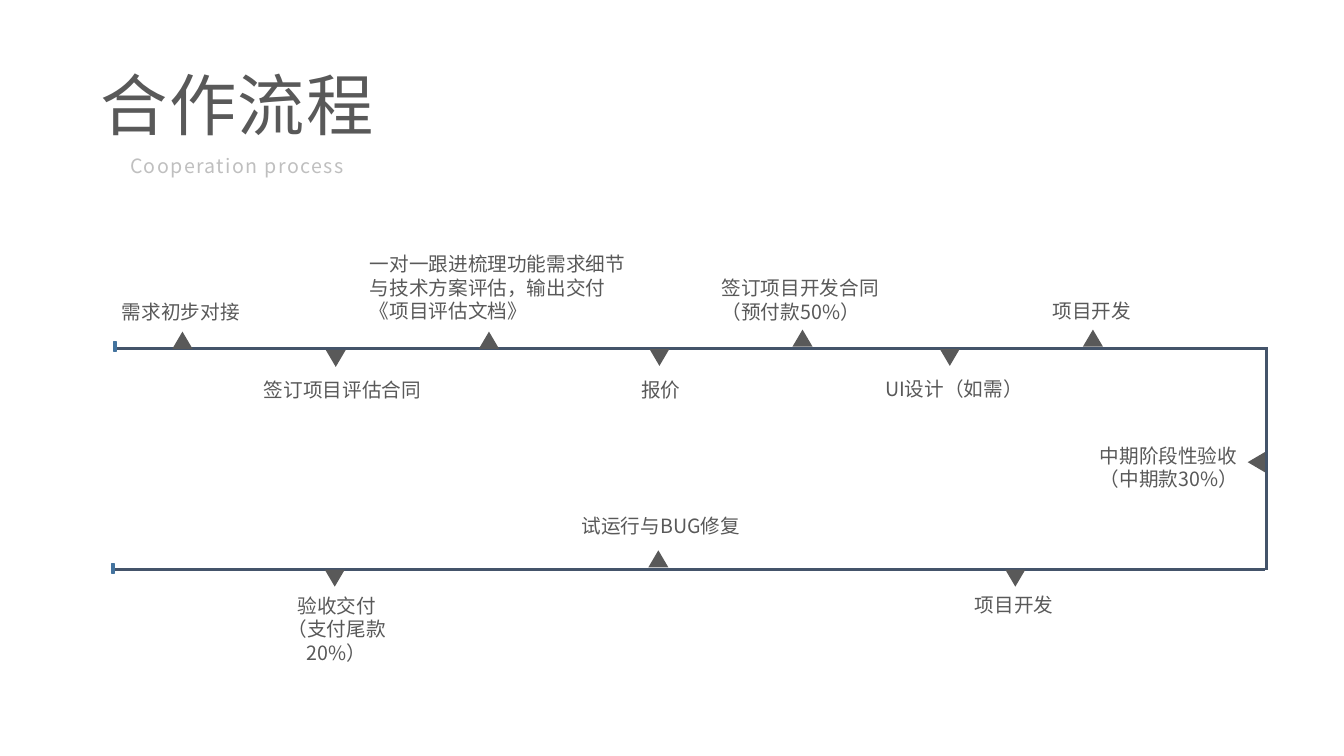
from typing import NamedTuple

from lxml.etree import SubElement
from pptx import Presentation
from pptx.dml.color import RGBColor
from pptx.enum.shapes import MSO_CONNECTOR as Connector, MSO_SHAPE as Shape
from pptx.enum.text import MSO_ANCHOR as Anchor, MSO_AUTO_SIZE as AutoSize, PP_ALIGN as Align
from pptx.oxml.ns import qn
from pptx.util import Inches, Pt

FONT = "Noto Sans CJK SC"
COLORS = {"text": "595959", "subtitle": "BFBFBF", "path": "44546A", "cap": "43739E"}
MARKER_WIDTH, MARKER_HEIGHT = 0.2, 0.17
CAP_WIDTH, CAP_HEIGHT = 0.02, 0.1
LABEL_SIZE = 14
UP, DOWN, LEFT = 0, 180, 270


class Box(NamedTuple):
    left: float
    top: float
    width: float
    height: float


class Step(NamedTuple):
    text: str
    box: Box
    marker_left: float
    marker_top: float
    direction: int
    align: Align | None = None


class Segment(NamedTuple):
    start_x: float
    start_y: float
    end_x: float
    end_y: float


SEGMENTS = [
    Segment(1.16, 3.46, 12.56, 3.46),
    Segment(12.56, 5.65, 12.56, 3.44),
    Segment(1.14, 5.65, 12.55, 5.65),
]
CAPS = [(1.13, 3.39), (1.11, 5.59)]

STEPS = [
    # Upper row, left to right
    Step("需求初步对接", Box(1.11, 2.93, 1.38, 0.57), 1.71, 3.29, UP),
    Step("签订项目评估合同", Box(2.52, 3.7, 1.83, 0.57), 3.23, 3.47, DOWN),
    Step("一对一跟进梳理功能需求细节与技术方案评估，输出交付《项目评估文档》",
         Box(3.57, 2.45, 2.77, 1.04), 4.75, 3.29, UP),
    Step("报价", Box(6.26, 3.7, 0.62, 0.57), 6.44, 3.46, DOWN),
    Step("签订项目开发合同（预付款50%）", Box(7.06, 2.69, 1.94, 0.81), 7.86, 3.27, UP),
    Step("UI设计（如需）", Box(8.68, 3.69, 1.83, 0.57), 9.32, 3.46, DOWN),
    Step("项目开发", Box(10.34, 2.92, 1.09, 0.57), 10.74, 3.27, UP),
    # Turn on the right
    Step("中期阶段性验收（中期款30%）", Box(10.81, 4.35, 1.63, 0.81), 12.36, 4.5, LEFT),
    # Lower row, right to left
    Step("项目开发", Box(9.57, 5.83, 1.09, 0.57), 9.97, 5.65, DOWN),
    Step("试运行与BUG修复", Box(5.67, 5.05, 1.83, 0.57), 6.43, 5.46, UP),
    Step("验收交付\n（支付尾款20%）", Box(2.52, 5.84, 1.64, 0.81), 3.22, 5.65, DOWN,
         Align.CENTER),
]


def color(name: str) -> RGBColor:
    return RGBColor.from_string(COLORS[name])


def add_text(slide, text: str, box: Box, *, size: float = LABEL_SIZE, color_name: str = "text",
             align: Align | None = None, anchor: Anchor = Anchor.TOP, wrap: bool = True,
             line_spacing: float | None = None, letter_spacing: float = 0) -> None:
    shape = slide.shapes.add_textbox(*map(Inches, box))
    frame = shape.text_frame
    frame.text = text
    frame.word_wrap = wrap
    frame.auto_size = AutoSize.SHAPE_TO_FIT_TEXT
    frame.vertical_anchor = anchor
    for paragraph in frame.paragraphs:
        paragraph.alignment = align
        if line_spacing:
            paragraph.line_spacing = Pt(line_spacing)
        for run in paragraph.runs:
            run.font.size = Pt(size)
            run.font.name = FONT
            run.font.color.rgb = color(color_name)
            properties = run.font._element
            SubElement(properties, qn("a:ea")).set("typeface", FONT)
            if letter_spacing:
                properties.set("spc", str(round(letter_spacing * 100)))


def add_filled_shape(slide, kind: Shape, box: Box, rotation: float = 0,
                     line_name: str | None = None) -> None:
    shape = slide.shapes.add_shape(kind, *map(Inches, box))
    shape.shadow.inherit = False
    shape.rotation = rotation
    shape.fill.solid()
    shape.fill.fore_color.rgb = color("text")
    if line_name:
        shape.line.color.rgb = color(line_name)
        shape.line.width = Pt(1)
    else:
        shape.line.fill.background()


def add_segment(slide, segment: Segment) -> None:
    connector = slide.shapes.add_connector(Connector.STRAIGHT, *map(Inches, segment))
    connector.line.color.rgb = color("path")
    connector.line.width = Pt(2.5)
    SubElement(connector._element.spPr, qn("a:effectLst"))


def add_step(slide, step: Step) -> None:
    marker = Box(step.marker_left, step.marker_top, MARKER_WIDTH, MARKER_HEIGHT)
    add_filled_shape(slide, Shape.ISOSCELES_TRIANGLE, marker, step.direction)
    add_text(slide, step.text, step.box, align=step.align)


def main() -> None:
    presentation = Presentation()
    presentation.slide_width = Inches(13.33)
    presentation.slide_height = Inches(7.5)
    slide = presentation.slides.add_slide(presentation.slide_layouts[6])

    # Headings
    heading = dict(align=Align.CENTER, anchor=Anchor.MIDDLE, wrap=False,
                   line_spacing=56.8, letter_spacing=1)
    add_text(slide, "合作流程", Box(0.88, 0.58, 2.95, 0.9), size=48, **heading)
    add_text(slide, "Cooperation process", Box(1.14, 0.99, 2.42, 0.75),
             color_name="subtitle", **heading)

    # Process path with its end caps
    for segment in SEGMENTS:
        add_segment(slide, segment)
    for left, top in CAPS:
        add_filled_shape(slide, Shape.RECTANGLE, Box(left, top, CAP_WIDTH, CAP_HEIGHT),
                         line_name="cap")

    # Steps along the path
    for step in STEPS:
        add_step(slide, step)

    presentation.save("out.pptx")


if __name__ == "__main__":
    main()
